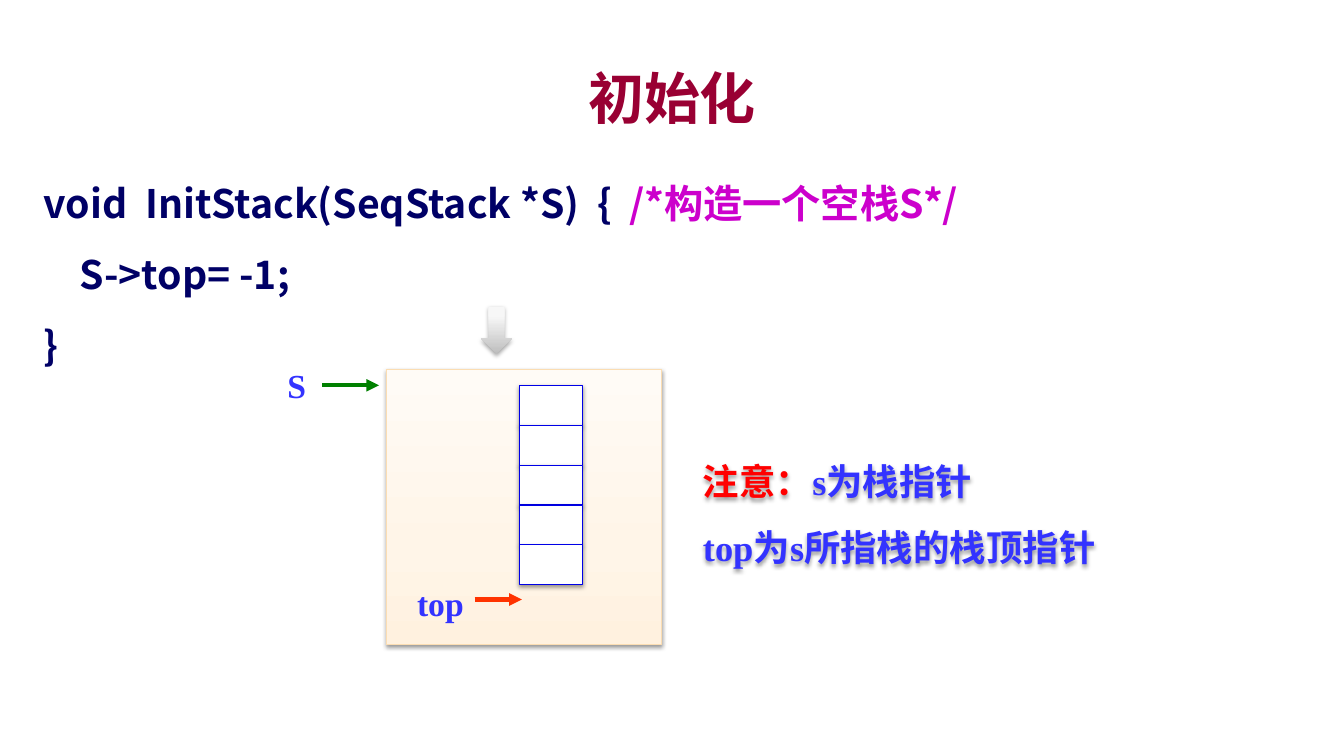
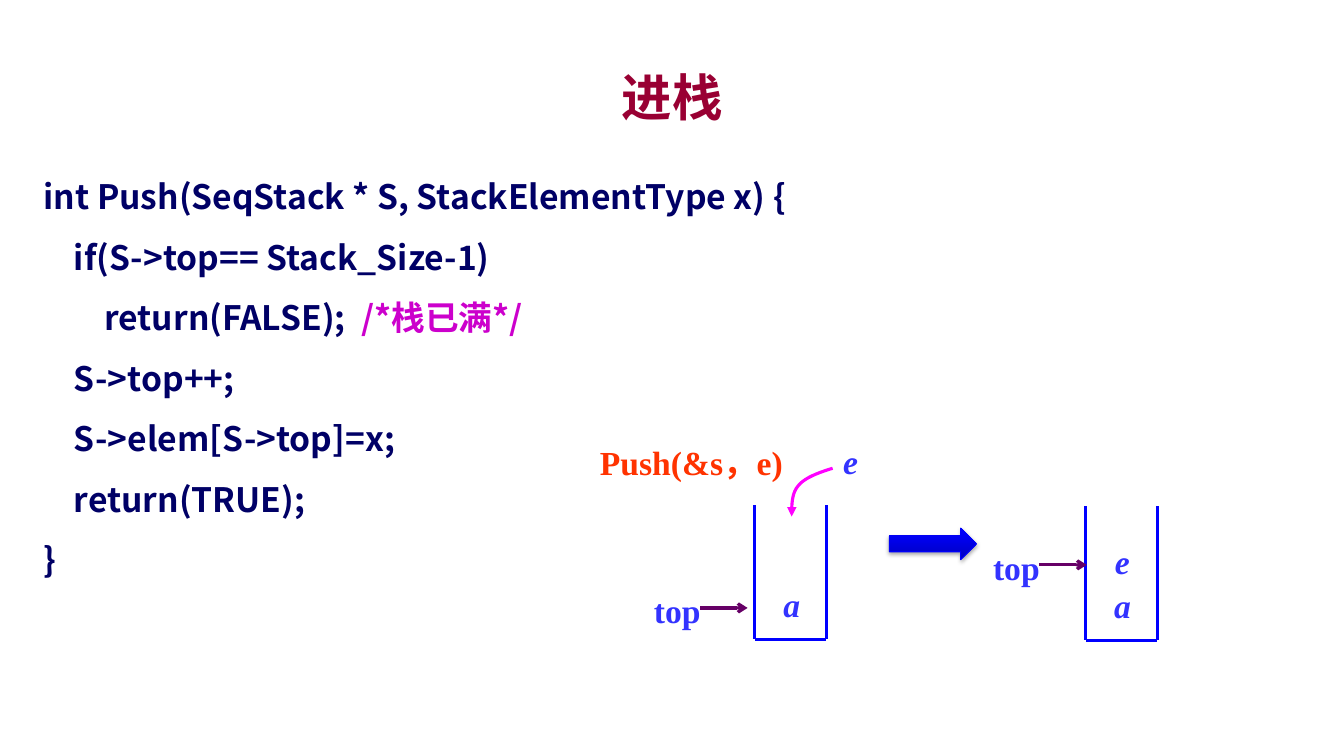
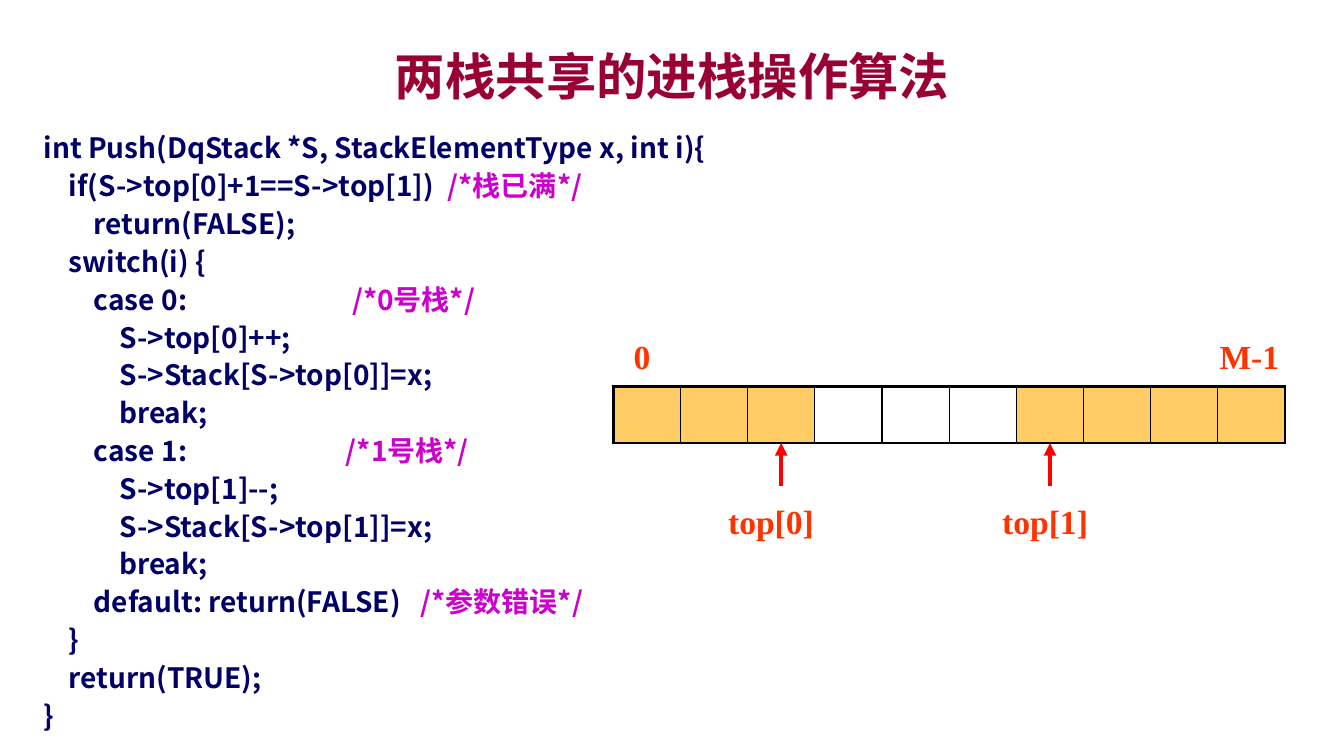
from dataclasses import dataclass
from typing import NamedTuple

from lxml import etree
from pptx import Presentation
from pptx.dml.color import RGBColor
from pptx.enum.shapes import MSO_CONNECTOR, MSO_SHAPE
from pptx.enum.text import MSO_ANCHOR, PP_ALIGN
from pptx.oxml.ns import qn
from pptx.util import Emu, Pt

PX = 9525
STRAIGHT = MSO_CONNECTOR.STRAIGHT
RECTANGLE = MSO_SHAPE.RECTANGLE
DOWN_ARROW = MSO_SHAPE.DOWN_ARROW
RIGHT_ARROW = MSO_SHAPE.RIGHT_ARROW
LEFT, CENTER, JUSTIFY = PP_ALIGN.LEFT, PP_ALIGN.CENTER, PP_ALIGN.JUSTIFY
TOP, MIDDLE = MSO_ANCHOR.TOP, MSO_ANCHOR.MIDDLE

SANS = "Noto Sans CJK SC"
SERIF = "Times New Roman"
COLORS = {
    "title": "990033", "code": "000066", "comment": "CC00CC",
    "label": "3333FF", "mark": "FF3300", "alert": "FF0000",
    "panel line": "FBDDB2", "cell line": "0000E7", "white": "FFFFFF",
    "stack": "0000FF", "pointer": "660066", "entry": "FF00FF",
    "handle": "008000", "push line": "0000F9", "black": "000000",
    "used": "FFCC66",
}
GRADIENTS = {
    "panel": [(0, "FFF1DF"), (35, "FFF5E8"), (100, "FFFBF6")],
    "grey": [(0, "BEBEBE"), (80, "F7F7F7"), (100, "F8F8F8")],
    "blue": [(0, "0000BE"), (80, "0000F7"), (100, "0000F8")],
}
LABEL_FORMAT = {"size": Pt(24), "name": SERIF, "bold": True}
ITEM_FORMAT = {**LABEL_FORMAT, "italic": True}


class Box(NamedTuple):
    left: int
    top: int
    width: int
    height: int


class Span(NamedTuple):
    text: str
    color: str
    format: dict


class CodeLine(NamedTuple):
    """A line of code; each tab in it moves on to the next of its stops."""
    depth: int
    code: str
    comment: str = ""
    stops: tuple = ()


@dataclass(frozen=True)
class CodeStyle:
    size: int
    align: PP_ALIGN = JUSTIFY
    paragraph: tuple = (("line_spacing", 1.5),)


@dataclass(frozen=True)
class Label:
    text: str
    box: Box
    color: str = "label"
    align: PP_ALIGN = CENTER


@dataclass(frozen=True)
class StackDrawing:
    left: int
    top: int
    items: tuple
    pointer_tip: int


TITLE_BOX = Box(96, 56, 1088, 72)
STACK_WIDTH, STACK_HEIGHT, ITEM_PITCH = 68, 128, 42

INIT_CODE = [
    CodeLine(0, "void\tInitStack(SeqStack *S)\t{", "/*构造一个空栈S*/", (97, 528, 558)),
    CodeLine(1, "S->top= -1;"),
    CodeLine(0, "}"),
]
PUSH_CODE = [
    CodeLine(0, "int Push(SeqStack * S, StackElementType x) {"),
    CodeLine(1, "if(S->top== Stack_Size-1)"),
    CodeLine(2, "return(FALSE);", "/*栈已满*/", (303,)),
    CodeLine(1, "S->top++;"),
    CodeLine(1, "S->elem[S->top]=x;"),
    CodeLine(1, "return(TRUE);"),
    CodeLine(0, "}"),
]
SHARED_CODE = [
    CodeLine(0, "int Push(DqStack *S, StackElementType x, int i){"),
    CodeLine(1, "if(S->top[0]+1==S->top[1])", "/*栈已满*/", (385,)),
    CodeLine(2, "return(FALSE);"),
    CodeLine(1, "switch(i) {"),
    CodeLine(2, "case 0:", "/*0号栈*/", (294,)),
    CodeLine(3, "S->top[0]++;"),
    CodeLine(3, "S->Stack[S->top[0]]=x;"),
    CodeLine(3, "break;"),
    CodeLine(2, "case 1:", "/*1号栈*/", (288,)),
    CodeLine(3, "S->top[1]--;"),
    CodeLine(3, "S->Stack[S->top[1]]=x;"),
    CodeLine(3, "break;"),
    CodeLine(2, "default: return(FALSE)", "/*参数错误*/", (359,)),
    CodeLine(1, "}"),
    CodeLine(1, "return(TRUE);"),
    CodeLine(0, "}"),
]


def px(length: float) -> Emu:
    return Emu(round(length * PX))


def emu(box: Box) -> list:
    return [px(length) for length in box]


def rgb(color: str) -> RGBColor:
    return RGBColor.from_string(COLORS[color])


def set_all(target, values: dict) -> None:
    for name, value in values.items():
        setattr(target, name, value)


def add_srgb(parent, value: str):
    return etree.SubElement(parent, qn("a:srgbClr"), val=value)


def add_spans(paragraph, spans: list) -> None:
    for span in spans:
        run = paragraph.add_run()
        run.text = span.text
        set_all(run.font, span.format)
        run.font.color.rgb = rgb(span.color)
        etree.SubElement(run.font._element, qn("a:ea"), typeface=SANS)


def add_text(slide, box: Box, lines: list, align: PP_ALIGN = LEFT,
             paragraph_format: dict = {}, anchor: MSO_ANCHOR = TOP, inset: bool = True):
    shape = slide.shapes.add_textbox(*emu(box))
    frame = shape.text_frame
    set_all(frame, {"word_wrap": True, "vertical_anchor": anchor})
    if not inset:
        set_all(frame, dict.fromkeys(
            ("margin_left", "margin_top", "margin_right", "margin_bottom"), 0))
    for number, spans in enumerate(lines):
        paragraph = frame.add_paragraph() if number else frame.paragraphs[0]
        set_all(paragraph, {"alignment": align, **paragraph_format})
        add_spans(paragraph, spans)
    return shape


def add_title(slide, text: str, size: int = 36, box: Box = TITLE_BOX) -> None:
    title_format = {"size": Pt(size), "name": SANS, "bold": True}
    add_text(slide, box, [[Span(text, "title", title_format)]], CENTER, anchor=MIDDLE)


def add_code(slide, box: Box, lines: list, style: CodeStyle) -> None:
    code_format = {"size": Pt(style.size), "name": SANS, "bold": True}
    step = round(style.size * 1.2)
    spans = []
    for line in lines:
        spans.append([Span("\t" * line.depth + line.code, "code", code_format)])
        if line.comment:
            spans[-1].append(Span("\t" + line.comment, "comment", code_format))
    shape = add_text(slide, box, spans, style.align, dict(style.paragraph))
    for line, paragraph in zip(lines, shape.text_frame.paragraphs):
        stops = [step * (level + 1) for level in range(line.depth)] + list(line.stops)
        if stops:
            tabs = etree.SubElement(paragraph._p.get_or_add_pPr(), qn("a:tabLst"))
            for stop in stops:
                etree.SubElement(tabs, qn("a:tab"), pos=str(px(stop)), algn="l")


def add_label(slide, label: Label, text_format: dict = LABEL_FORMAT, inset: bool = True) -> None:
    add_text(slide, label.box, [[Span(label.text, label.color, text_format)]],
             label.align, inset=inset)


def add_shadow(shape, opacity: int, distance: float) -> None:
    shape.shadow.inherit = False
    effects = shape.element.spPr.find(qn("a:effectLst"))
    shadow = etree.SubElement(effects, qn("a:outerShdw"), blurRad=str(Pt(3.1)),
                              dist=str(Pt(distance)), dir="5400000", rotWithShape="0")
    color = add_srgb(shadow, COLORS["black"])
    etree.SubElement(color, qn("a:alpha"), val=str(opacity * 1000))


def set_gradient(shape, stops: list) -> None:
    """Fill from the bottom up with the given stops."""
    shape.fill.gradient()
    shape.fill.gradient_angle = 90
    stop_list = shape.element.spPr.find(qn("a:gradFill")).find(qn("a:gsLst"))
    for old_stop in list(stop_list):
        stop_list.remove(old_stop)
    for position, color in stops:
        stop = etree.SubElement(stop_list, qn("a:gs"), pos=str(position * 1000))
        add_srgb(stop, color)


def set_line(shape, color: str, width: float, head: str = "") -> None:
    shape.line.color.rgb = rgb(color)
    shape.line.width = Pt(width)
    if head:
        outline = shape.element.spPr.find(qn("a:ln"))
        etree.SubElement(outline, qn("a:tailEnd"), type=head)


def add_block(slide, kind: MSO_SHAPE, box: Box, gradient: str = "", line: str = "",
              opacity: int = 38, distance: float = 1.6) -> None:
    """Add a shadowed shape, white unless a gradient is named."""
    shape = slide.shapes.add_shape(kind, *emu(box))
    if gradient:
        set_gradient(shape, GRADIENTS[gradient])
    else:
        shape.fill.solid()
        shape.fill.fore_color.rgb = rgb("white")
    if line:
        set_line(shape, line, 0.75)
    else:
        shape.line.fill.background()
    add_shadow(shape, opacity, distance)


def add_line(slide, start: tuple, end: tuple, color: str, width: float, head: str = "") -> None:
    line = slide.shapes.add_connector(STRAIGHT, *map(px, start + end))
    set_line(line, color, width, head)
    etree.SubElement(line.element.spPr, qn("a:effectLst"))


def bezier(points: list, t: float) -> tuple:
    weights = ((1 - t) ** 3, 3 * t * (1 - t) ** 2, 3 * t * t * (1 - t), t ** 3)
    return tuple(px(sum(w * point[axis] for w, point in zip(weights, points)))
                 for axis in (0, 1))


def add_curved_arrow(slide, points: list, color: str) -> None:
    """Draw joined cubic curves, each sharing an end point with the next."""
    steps = 10
    vertices = [bezier(points[first:first + 4], step / steps)
                for first in range(0, len(points) - 1, 3)
                for step in range(1, steps + 1)]
    builder = slide.shapes.build_freeform(*map(px, points[0]))
    builder.add_line_segments(vertices, close=False)
    curve = builder.convert_to_shape()
    curve.fill.background()
    curve.shadow.inherit = False
    set_line(curve, color, 2.25, "triangle")


def draw_stack(slide, stack: StackDrawing) -> None:
    """Draw the open container, its items from the bottom up, and the top pointer."""
    right, bottom = stack.left + STACK_WIDTH, stack.top + STACK_HEIGHT
    corners = [(stack.left, stack.top), (stack.left, bottom),
               (right, bottom), (right, stack.top)]
    for start, end in zip(corners, corners[1:]):
        add_line(slide, start, end, "stack", 2.25)
    for level, item in enumerate(stack.items):
        box = Box(stack.left + 5, stack.top + 75 - ITEM_PITCH * level, 60, 38)
        add_label(slide, Label(item, box), ITEM_FORMAT, inset=False)
    tip = stack.pointer_tip
    pointer_y = stack.top + 98 - ITEM_PITCH * (len(stack.items) - 1)
    add_line(slide, (tip - 45, pointer_y), (tip, pointer_y), "pointer", 2.25, "arrow")
    add_label(slide, Label("top", Box(tip - 112, pointer_y - 17, 90, 38)), inset=False)


def set_borders(cell, widths: dict) -> None:
    properties = cell._tc.get_or_add_tcPr()
    for side, width in widths.items():
        border = etree.SubElement(properties, qn(f"a:ln{side}"), w=str(Pt(width)))
        add_srgb(etree.SubElement(border, qn("a:solidFill")), COLORS["black"])


def build_init(slide) -> None:
    add_title(slide, "初始化", 40)
    add_code(slide, Box(32, 144, 1216, 544), INIT_CODE, CodeStyle(28))
    add_block(slide, RECTANGLE, Box(368, 352, 262, 262), "panel", "panel line")
    add_line(slide, (307, 367), (361, 367), "handle", 3, "triangle")
    add_label(slide, Label("S", Box(264, 343, 37, 48)))
    cell_height = 38
    for row in range(5):
        add_block(slide, RECTANGLE, Box(495, 367 + cell_height * row, 60, cell_height),
                  line="cell line")
    add_line(slide, (452, 571), (497, 571), "mark", 3, "triangle")
    add_label(slide, Label("top", Box(376, 550, 87, 48)))
    add_block(slide, DOWN_ARROW, Box(458, 292, 30, 45), "grey", opacity=35, distance=1.8)
    note_format = {"size": Pt(26), "name": SERIF, "bold": True}
    note = add_text(slide, Box(660, 412, 532, 128), [
        [Span("注意：", "alert", {**note_format, "name": SANS}),
         Span("s为栈指针", "label", note_format)],
        [Span("top为s所指栈的栈顶指针", "label", note_format)],
    ], paragraph_format={"line_spacing": 1.5})
    add_shadow(note, 38, 1.6)


def build_push(slide) -> None:
    add_title(slide, "进栈")
    add_code(slide, Box(32, 144, 1216, 408), PUSH_CODE, CodeStyle(24))
    for stack in (StackDrawing(719, 481, ("a",), 712),
                  StackDrawing(1034, 482, ("a", "e"), 1035)):
        draw_stack(slide, stack)
    add_label(slide, Label("e", Box(780, 420, 60, 38)), ITEM_FORMAT, inset=False)
    add_curved_arrow(slide, [(793, 446), (780, 450), (766, 455), (760, 463),
                             (754, 470), (754, 481), (754, 492)], "entry")
    add_block(slide, RIGHT_ARROW, Box(847, 503, 83, 30), "blue", "push line", 35, 1.8)
    add_label(slide, Label("Push(&s，e)", Box(552, 416, 213, 48), "mark"))


def build_shared(slide) -> None:
    add_title(slide, "两栈共享的进栈操作算法", box=Box(96, 56, 1088, 32))
    add_code(slide, Box(32, 120, 1216, 584), SHARED_CODE,
             CodeStyle(20, LEFT, (("space_before", Pt(3)),)))
    slots, slot_width, free_slots = 10, 64, range(3, 6)
    array = Box(584, 368, slots * slot_width, 54)
    table = slide.shapes.add_table(1, slots, *emu(array)).table
    set_all(table, {"first_row": False, "horz_banding": False})
    for slot in range(slots):
        table.columns[slot].width = px(slot_width)
        cell = table.cell(0, slot)
        set_borders(cell, {"L": 2.25 if slot == 0 else 1,
                           "R": 2.25 if slot == slots - 1 else 1,
                           "T": 2.25, "B": 2.25})
        if slot in free_slots:
            cell.fill.background()
        else:
            cell.fill.solid()
            cell.fill.fore_color.rgb = rgb("used")
    array_bottom = array.top + array.height
    for slot in (free_slots.start - 1, free_slots.stop):
        center = array.left + slot_width * slot + slot_width // 2
        add_line(slide, (center, array_bottom + 41), (center, array_bottom),
                 "alert", 3, "triangle")
    for label in (Label("top[0]", Box(684, 472, 136, 48), "mark", LEFT),
                  Label("top[1]", Box(945, 472, 110, 48), "mark", LEFT),
                  Label("0", Box(594, 315, 112, 48), "mark", LEFT),
                  Label("M-1", Box(1152, 315, 80, 48), "mark", LEFT)):
        add_label(slide, label)


def main() -> None:
    deck = Presentation()
    set_all(deck, {"slide_width": px(1280), "slide_height": px(720)})
    blank = deck.slide_layouts[6]
    for build in (build_init, build_push, build_shared):
        build(deck.slides.add_slide(blank))
    deck.save("out.pptx")


if __name__ == "__main__":
    main()
